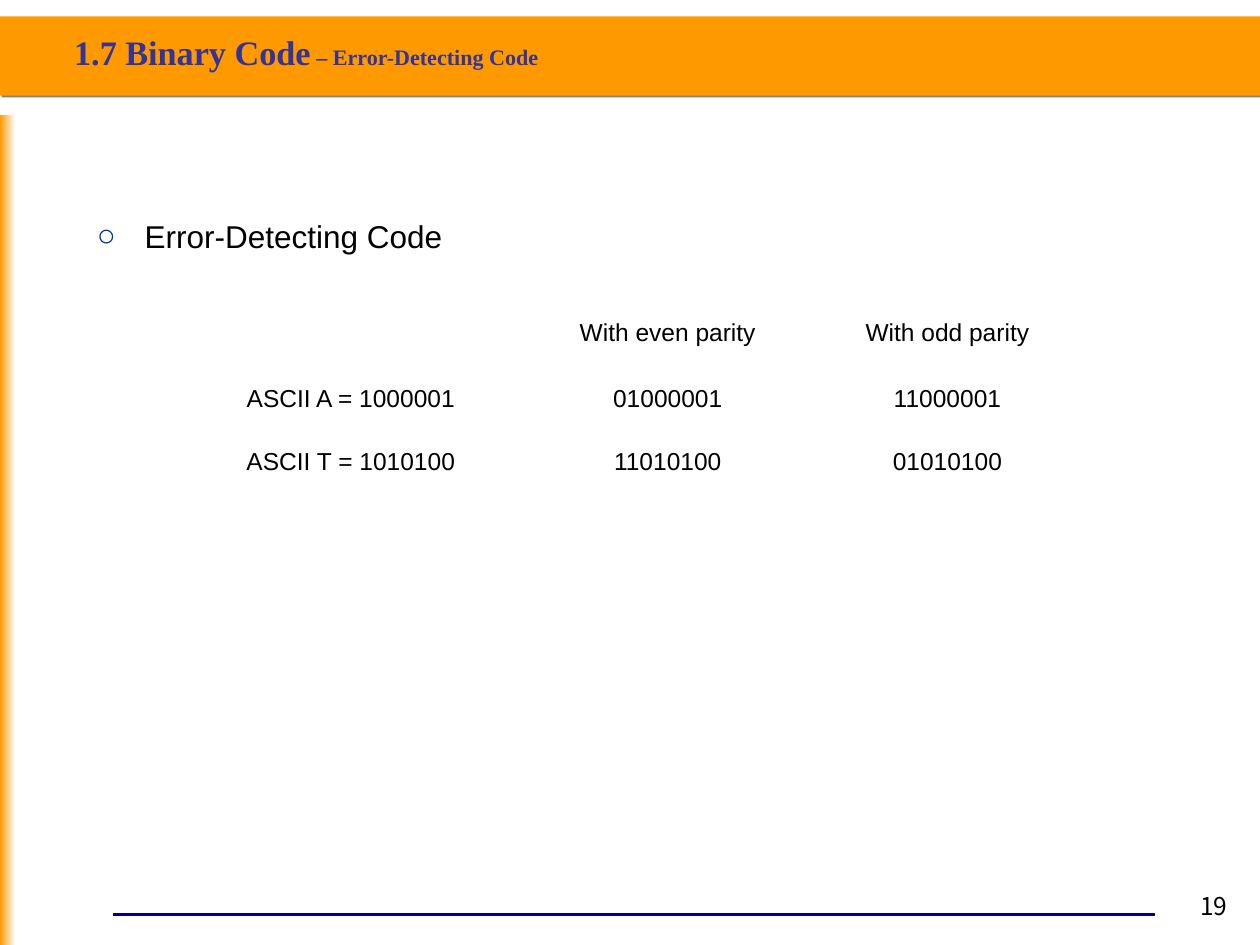
import pptx
import pptx.dml.color
import pptx.enum.shapes
import pptx.enum.text
import pptx.oxml
import pptx.oxml.ns
import pptx.util
from lxml import etree

Inches, Pt = pptx.util.Inches, pptx.util.Pt
ALIGN = pptx.enum.text.PP_ALIGN
ANCHOR = pptx.enum.text.MSO_ANCHOR
qn = pptx.oxml.ns.qn

# Content
TITLE = [("1.7 Binary Code", 19.6), (" – Error-Detecting Code", 12.6)]
TOPIC = "Error-Detecting Code"
PAGE_NUMBER = "19"
PARITY_ROWS = [
    ("", "With even parity", "With odd parity"),
    ("ASCII A = 1000001", "01000001", "11000001"),
    ("ASCII T = 1010100", "11010100", "01010100"),
]
COLUMN_WIDTHS = [2.81, 2.22, 2.22]
ROW_HEIGHTS = [0.53, 0.5, 0.44]


def color(value):
    return pptx.dml.color.RGBColor.from_string(value)


def set_font(font, name, size, value, bold=False):
    font.name, font.size, font.bold = name, Pt(size), bold
    font.color.rgb = color(value)


def add_text_box(slide, left, top, width, height, anchor=ANCHOR.TOP):
    box = slide.shapes.add_textbox(Inches(left), Inches(top), Inches(width), Inches(height))
    box.text_frame.word_wrap = True
    box.text_frame.vertical_anchor = anchor
    return box.text_frame.paragraphs[0]


def add_band(slide, left, top, width, height):
    band = slide.shapes.add_shape(
        pptx.enum.shapes.MSO_SHAPE.RECTANGLE,
        Inches(left), Inches(top), Inches(width), Inches(height))
    band.shadow.inherit = False
    band.line.fill.background()
    return band


def add_bullet(paragraph, character, value, indent):
    properties = paragraph._p.get_or_add_pPr()
    properties.set("marL", str(Inches(indent)))
    properties.set("indent", str(-Inches(indent)))
    bullet_color = etree.SubElement(properties, qn("a:buClr"))
    etree.SubElement(bullet_color, qn("a:srgbClr"), val=value)
    etree.SubElement(properties, qn("a:buFont"), typeface="Arial")
    etree.SubElement(properties, qn("a:buChar"), char=character)


presentation = pptx.Presentation()
presentation.slide_width, presentation.slide_height = Inches(10), Inches(7.5)
slide = presentation.slides.add_slide(presentation.slide_layouts[6])

# Footer rule
rule = slide.shapes.add_connector(
    pptx.enum.shapes.MSO_CONNECTOR.STRAIGHT,
    Inches(0.9), Inches(7.26), Inches(9.17), Inches(7.26))
rule.line.color.rgb = color("000080")
rule.line.width = Pt(1.5)
etree.SubElement(rule._element.spPr, qn("a:effectLst"))

# Header band with a hard grey shadow
header = add_band(slide, 0, 0.13, 10, 0.63)
header.fill.solid()
header.fill.fore_color.rgb = color("FF9900")
effects = header._element.spPr.find(qn("a:effectLst"))
shadow = etree.SubElement(effects, qn("a:outerShdw"), blurRad="0",
                          dist=str(Pt(1.4)), dir=str(45 * 60000))
etree.SubElement(shadow, qn("a:srgbClr"), val="808080")

# Fading strip on the left edge
strip = add_band(slide, 0, 0.91, 0.12, 6.59)
strip.fill.gradient()
strip.fill.gradient_angle = 0
for stop, value in zip(strip.fill.gradient_stops, ("FF9900", "FFFFFF")):
    stop.color.rgb = color(value)

# Page number
number = add_text_box(slide, 9.28, 7.02, 0.56, 0.37)
number.text = PAGE_NUMBER
number.alignment = ALIGN.RIGHT
set_font(number.font, "Noto Sans CJK KR", 14, "000000")

# Topic
topic = add_text_box(slide, 0.67, 1.67, 9, 0.5)
topic.text = TOPIC
add_bullet(topic, "○", "003399", 0.38)
set_font(topic.font, "Arial", 18, "000000")

# Parity table
table = slide.shapes.add_table(
    len(ROW_HEIGHTS), len(COLUMN_WIDTHS), Inches(1.38), Inches(2.48),
    Inches(sum(COLUMN_WIDTHS)), Inches(sum(ROW_HEIGHTS))).table
table.first_row = table.horz_banding = False
for column, width in zip(table.columns, COLUMN_WIDTHS):
    column.width = Inches(width)
for row, height, texts in zip(table.rows, ROW_HEIGHTS, PARITY_ROWS):
    row.height = Inches(height)
    for cell, text in zip(row.cells, texts):
        cell.fill.background()
        cell.text = text
        paragraph = cell.text_frame.paragraphs[0]
        paragraph.alignment = ALIGN.CENTER
        set_font(paragraph.font, "Arial", 14, "000000")

# Title
title = add_text_box(slide, 0.49, 0.21, 9, 0.46, ANCHOR.MIDDLE)
title.line_spacing = 0.8
for text, size in TITLE:
    run = title.add_run()
    run.text = text
    set_font(run.font, "Times New Roman", size, "333399", bold=True)

presentation.save("out.pptx")
